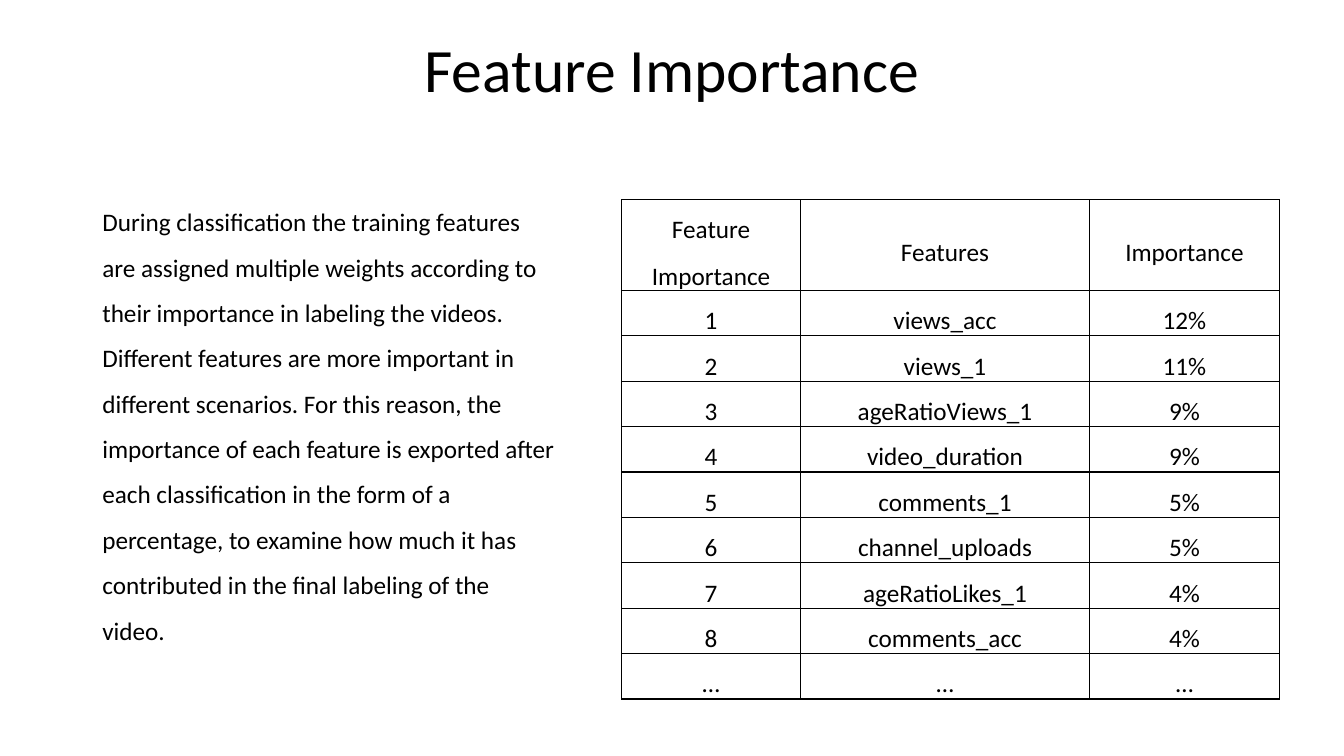
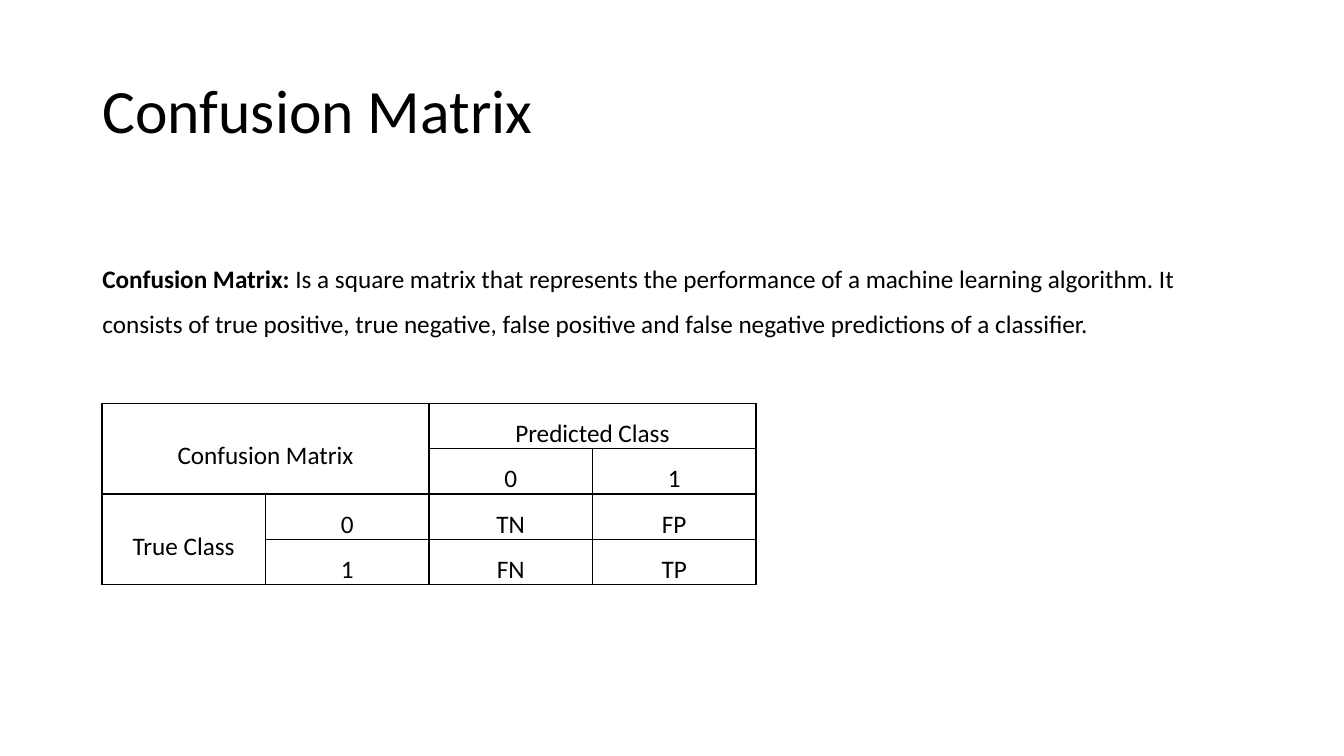
from dataclasses import dataclass

import lxml.etree
import pptx
import pptx.dml.color
import pptx.enum.text
import pptx.oxml.ns
import pptx.slide
import pptx.table
import pptx.text.text
import pptx.util

Cm = pptx.util.Cm
Pt = pptx.util.Pt
Align = pptx.enum.text.PP_ALIGN
Anchor = pptx.enum.text.MSO_ANCHOR

HUES = {"text": "000000", "line": "000000", "page": "FFFFFF"}
FACE = "Calibri"
LEFT = 2.33
ROW = 1.14


@dataclass(frozen=True)
class Head:
    text: str
    top: float
    align: Align


@dataclass(frozen=True)
class Phrase:
    text: str
    bold: bool = False


@dataclass(frozen=True)
class Note:
    words: tuple[Phrase, ...]
    top: float
    width: float
    height: float


@dataclass(frozen=True)
class Span:
    row: int
    col: int
    end_row: int
    end_col: int


@dataclass(frozen=True)
class Grid:
    left: float
    top: float
    widths: tuple[float, ...]
    rows: tuple[tuple[str, ...], ...]
    inset: float
    head_lines: int = 1
    spans: tuple[Span, ...] = ()


@dataclass(frozen=True)
class Page:
    head: Head
    note: Note
    grid: Grid


PAGES = (
    Page(
        Head("Feature Importance", 0, Align.CENTER),
        Note(
            (Phrase(
                "During classification the training features are assigned multiple weights "
                "according to their importance in labeling the videos. Different features are "
                "more important in different scenarios. For this reason, the importance of each "
                "feature is exported after each classification in the form of a percentage, to "
                "examine how much it has contributed in the final labeling of the video."
            ),),
            4.7, 11.94, 11.68,
        ),
        Grid(
            15.67, 5.03, (4.5, 7.29, 4.78),
            (
                ("Feature Importance", "Features", "Importance"),
                ("1", "views_acc", "12%"),
                ("2", "views_1", "11%"),
                ("3", "ageRatioViews_1", "9%"),
                ("4", "video_duration", "9%"),
                ("5", "comments_1", "5%"),
                ("6", "channel_uploads", "5%"),
                ("7", "ageRatioLikes_1", "4%"),
                ("8", "comments_acc", "4%"),
                ("…", "…", "…"),
            ),
            inset=0.13, head_lines=2,
        ),
    ),
    Page(
        Head("Confusion Matrix", 1.01, Align.LEFT),
        Note(
            (
                Phrase("Confusion Matrix: ", True),
                Phrase(
                    "Is a square matrix that represents the performance of a machine learning "
                    "algorithm. It consists of true positive, true negative, false positive and "
                    "false negative predictions of a classifier."
                ),
            ),
            6.12, 28.35, 2.44,
        ),
        Grid(
            2.57, 10.16, (4.12,) * 4,
            (
                ("Confusion Matrix", "", "Predicted Class", ""),
                ("", "", "0", "1"),
                ("True Class", "0", "TN", "FP"),
                ("", "1", "FN", "TP"),
            ),
            inset=0.18,
            spans=(Span(0, 0, 1, 1), Span(0, 2, 0, 3), Span(2, 0, 3, 0)),
        ),
    ),
)


def set_text(para: pptx.text.text._Paragraph, size: int, space: float, align: Align) -> None:
    para.alignment = align
    para.line_spacing = space
    para.font.name = FACE
    para.font.size = Pt(size)
    para.font.color.rgb = pptx.dml.color.RGBColor.from_string(HUES["text"])


def add_head(slide: pptx.slide.Slide, head: Head) -> None:
    title = slide.shapes.title
    title.left, title.top = Cm(LEFT), Cm(head.top)
    title.width, title.height = Cm(29.21), Cm(3.68)
    frame = title.text_frame
    frame.text = head.text
    frame.auto_size = pptx.enum.text.MSO_AUTO_SIZE.NONE
    frame.vertical_anchor = Anchor.MIDDLE
    set_text(frame.paragraphs[0], 44, 0.9, head.align)


def add_note(slide: pptx.slide.Slide, note: Note) -> None:
    box = slide.shapes.add_textbox(Cm(LEFT), Cm(note.top), Cm(note.width), Cm(note.height))
    frame = box.text_frame
    frame.word_wrap = True
    para = frame.paragraphs[0]
    for phrase in note.words:
        run = para.add_run()
        run.text = phrase.text
        if phrase.bold:
            run.font.bold = True
    set_text(para, 18, 1.5, Align.LEFT)


def add_lines(cell: pptx.table._Cell) -> None:
    qn = pptx.oxml.ns.qn
    props = cell._tc.get_or_add_tcPr()
    for spot, side in enumerate(("a:lnL", "a:lnR", "a:lnT", "a:lnB")):
        line = lxml.etree.Element(qn(side), w=str(Pt(1)))
        fill = lxml.etree.SubElement(line, qn("a:solidFill"))
        lxml.etree.SubElement(fill, qn("a:srgbClr"), val=HUES["line"])
        props.insert(spot, line)


def add_grid(slide: pptx.slide.Slide, grid: Grid) -> None:
    lines = [grid.head_lines] + [1] * (len(grid.rows) - 1)
    table = slide.shapes.add_table(
        len(grid.rows), len(grid.widths), Cm(grid.left), Cm(grid.top),
        Cm(sum(grid.widths)), Cm(ROW * sum(lines)),
    ).table
    table.first_row = table.horz_banding = False
    for col, width in zip(table.columns, grid.widths):
        col.width = Cm(width)
    for row, count, texts in zip(table.rows, lines, grid.rows):
        row.height = Cm(ROW * count)
        for cell, text in zip(row.cells, texts):
            cell.text = text
            cell.fill.background()
            cell.vertical_anchor = Anchor.MIDDLE
            cell.margin_left = cell.margin_right = Cm(grid.inset)
            cell.margin_top = cell.margin_bottom = 0
            set_text(cell.text_frame.paragraphs[0], 18, 1.5, Align.CENTER)
            add_lines(cell)
    for span in grid.spans:
        table.cell(span.row, span.col).merge(table.cell(span.end_row, span.end_col))


def main() -> None:
    deck = pptx.Presentation()
    deck.slide_width, deck.slide_height = Cm(33.87), Cm(19.05)
    back = deck.slide_master.background.fill
    back.solid()
    back.fore_color.rgb = pptx.dml.color.RGBColor.from_string(HUES["page"])
    for page in PAGES:
        slide = deck.slides.add_slide(deck.slide_layouts[5])
        add_head(slide, page.head)
        add_note(slide, page.note)
        add_grid(slide, page.grid)
    deck.save("out.pptx")


if __name__ == "__main__":
    main()
